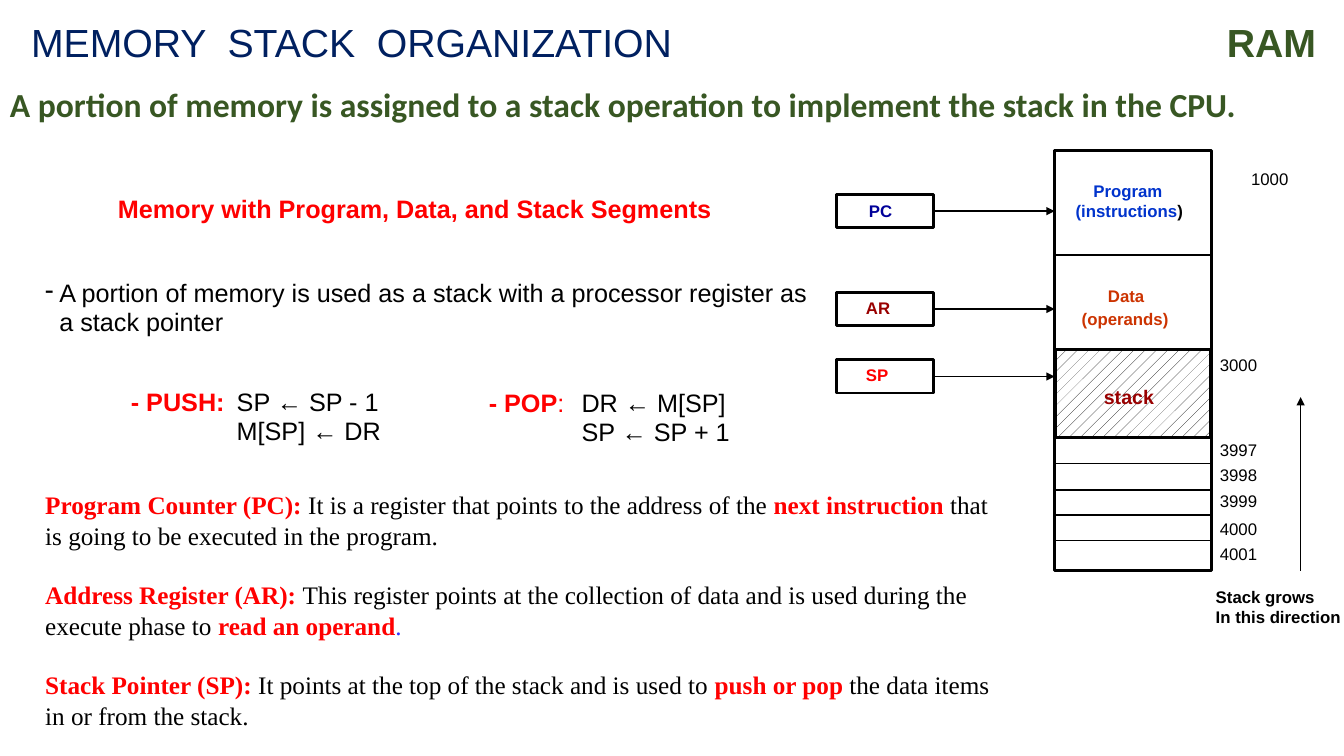
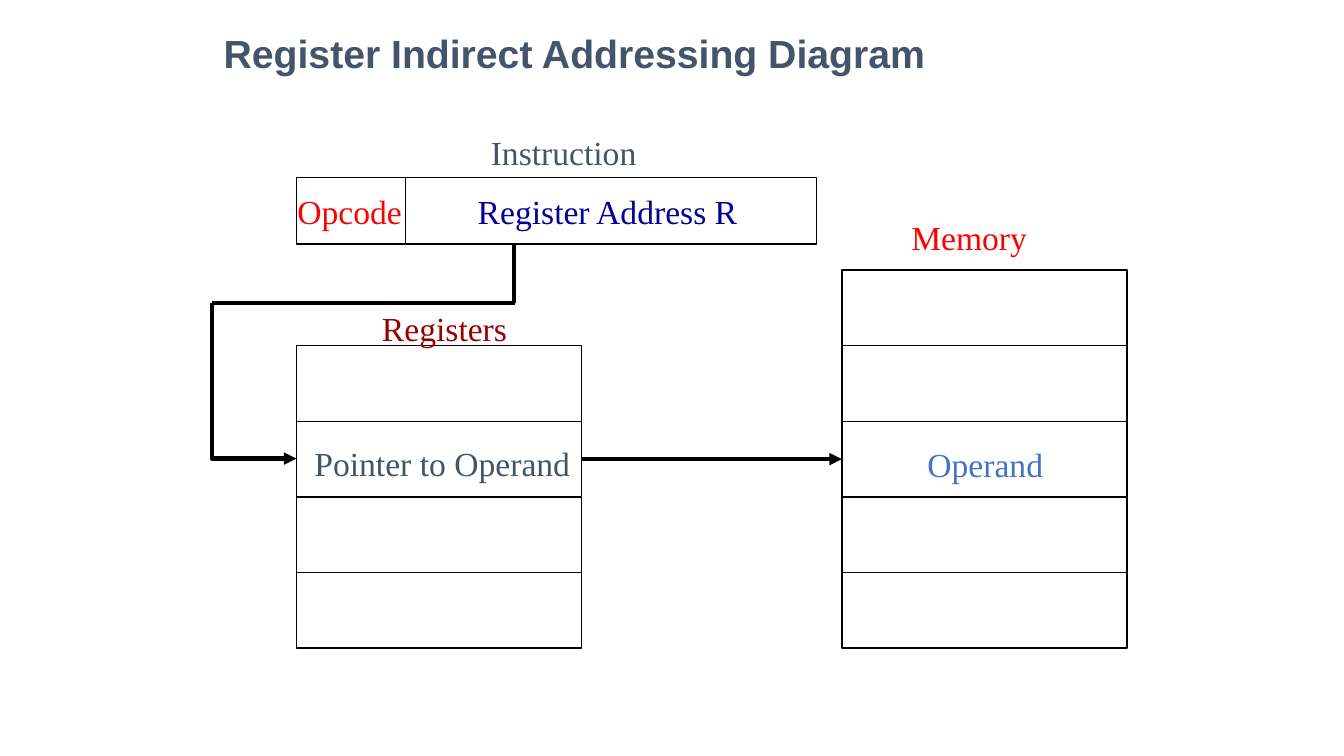
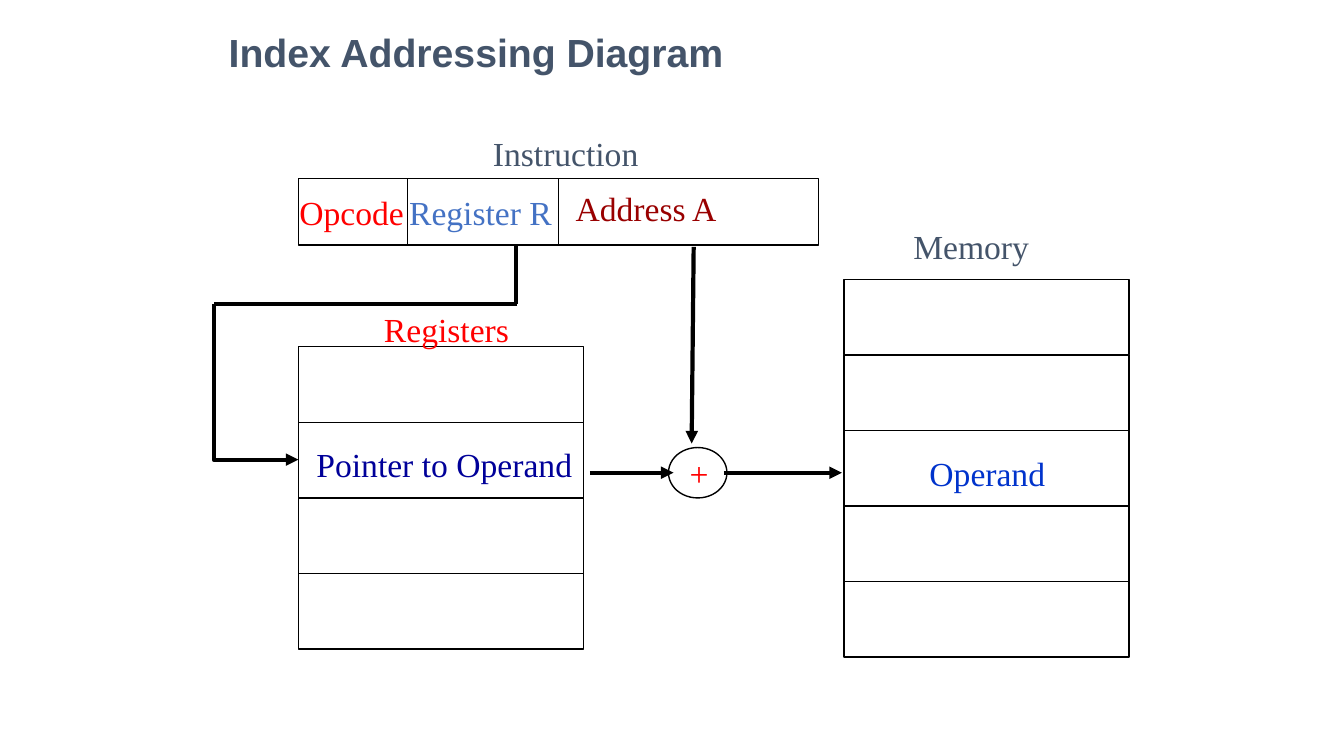
"""Three slides on the memory stack and on register-based addressing."""
from lxml.etree import SubElement
from pptx import Presentation
from pptx.dml.color import RGBColor
from pptx.enum.dml import MSO_PATTERN
from pptx.enum.shapes import MSO_CONNECTOR, MSO_SHAPE
from pptx.enum.text import MSO_ANCHOR, MSO_AUTO_SIZE, PP_ALIGN
from pptx.oxml.ns import qn
from pptx.util import Inches, Pt

BLACK, WHITE, RED, MAROON = "000000", "FFFFFF", "FF0000", "990000"
NAVY, BLUE, SLATE, SKY = "000099", "0033CC", "44546A", "4472C4"
TITLE_BLUE, GREEN, ORANGE, VIOLET = "002060", "385723", "CC3300", "3333FF"
SANS, SERIF = "Arial", "Times New Roman"

DEFINITIONS = [
    [("Program Counter (PC): ", RED, True),
     ("It is a register that points to the address of the ", BLACK, False),
     ("next instruction ", RED, True),
     ("that is going to be executed in the program.", BLACK, False)],
    [("Address Register (AR): ", RED, True),
     ("This register points at the collection of data and is used during the "
      "execute phase to ", BLACK, False),
     ("read an operand", RED, True), (".", VIOLET, False)],
    [("Stack Pointer (SP): ", RED, True),
     ("It points at the top of the stack and is used to ", BLACK, False),
     ("push or pop ", RED, True),
     ("the data items in or from the stack.", BLACK, False)],
]
STACK_NOTE = ("A portion of memory is used as a stack with a processor register as "
              "a stack pointer")
OPERATIONS = [
    ((1.2, 3.8, 3.3, 0.68), 1.05,
     [[("- PUSH:", RED, True), ("\tSP ← SP - 1", BLACK, False)],
      [("M[SP] ← DR", BLACK, False)]]),
    ((4.75, 3.81, 2.7, 0.68), 0.92,
     [[("- POP", RED, True), (":", RED, False), ("\tDR ← M[SP]", BLACK, False)],
      [("SP ← SP + 1", BLACK, False)]]),
]
REGISTERS = [("PC", NAVY, 1.93, 8.52, 1.94),
             ("AR", MAROON, 2.9, 8.49, 2.9),
             ("SP", RED, 3.57, 8.49, 3.57)]
ADDRESSES = [("1000", 12.31, 1.62), ("3000", 12, 3.47), ("3997", 12, 4.31),
             ("3998", 12, 4.56), ("3999", 12, 4.82), ("4000", 12, 5.1),
             ("4001", 12, 5.35)]
SEGMENT_LINES = [(2.53, 2), (4.01, 1), (4.35, 1), (4.6, 1), (4.86, 1), (5.11, 1), (5.36, 1)]
SEGMENT_LABELS = [("Data", ORANGE, 12, (10.89, 2.79, 0.69, 0.4)),
                  ("(operands)", ORANGE, 12, (10.63, 3.01, 1.31, 0.4)),
                  ("stack", MAROON, 14, (10.85, 3.77, 0.86, 0.44))]

INDIRECT = {
    "title": "Register Indirect Addressing Diagram", "title_at": (2.12, 0.26, 9, 0.55),
    "left": 2.94, "top": 1.76, "memory_top": 2.68, "dividers": [1.08],
    "fields": [("Register Address R", NAVY, 1.7, 0.08, 2.8)],
    "memory": RED, "operand": SKY, "registers": MAROON, "pointer": SLATE,
}
INDEXED = {
    "title": "Index Addressing Diagram", "title_at": (2.17, 0.29, 9, 0.51),
    "left": 2.96, "top": 1.77, "memory_top": 2.77, "dividers": [1.08, 2.58],
    "fields": [("Register R", SKY, 1, 0.08, 1.63), ("Address A", MAROON, 2.65, 0.05, 1.61)],
    "memory": SLATE, "operand": BLUE, "registers": RED, "pointer": NAVY,
}
CELL_WIDTH, CELL_HEIGHT = 2.83, 0.75


def color(value):
    """Turn a hex string into a colour."""
    return RGBColor.from_string(value)


def add_text(slide, at, paragraphs, size, font=SANS, wrap=True, spacing=None):
    """Add a text box whose paragraphs are lists of (text, colour, bold) runs."""
    shape = slide.shapes.add_textbox(*map(Inches, at))
    frame = shape.text_frame
    frame.word_wrap = wrap
    frame.auto_size = MSO_AUTO_SIZE.SHAPE_TO_FIT_TEXT
    for index, runs in enumerate(paragraphs):
        paragraph = frame.add_paragraph() if index else frame.paragraphs[0]
        if spacing:
            paragraph.line_spacing = spacing
        for text, run_color, bold in runs:
            run = paragraph.add_run()
            run.text = text
            run.font.size, run.font.name, run.font.bold = Pt(size), font, bold
            run.font.color.rgb = color(run_color)
    return frame


def add_label(slide, text, text_color, at, size=24, font=SERIF, bold=False):
    """Add one unwrapped line of text."""
    return add_text(slide, at, [[(text, text_color, bold)]], size, font, wrap=False)


def add_title(slide, text, text_color, at, anchor, bold):
    """Add a slide title."""
    frame = add_text(slide, at, [[(text, text_color, bold)]], 28)
    frame.auto_size = MSO_AUTO_SIZE.NONE
    frame.vertical_anchor = anchor
    return frame.paragraphs[0]


def set_tabs(paragraph, positions):
    """Give a paragraph left tab stops."""
    tabs = SubElement(paragraph._p.get_or_add_pPr(), qn("a:tabLst"))
    for position in positions:
        SubElement(tabs, qn("a:tab"), pos=str(Inches(position)), algn="l")


def style_line(shape, width, arrow=False):
    """Draw a black outline, with an arrowhead at its end if asked."""
    shape.line.color.rgb = color(BLACK)
    shape.line.width = Pt(width)
    if arrow:
        SubElement(shape.line._get_or_add_ln(), qn("a:tailEnd"), type="triangle")


def add_box(slide, at, width=1, preset=MSO_SHAPE.RECTANGLE):
    """Add an unfilled outlined shape."""
    shape = slide.shapes.add_shape(preset, *map(Inches, at))
    shape.shadow.inherit = False
    shape.fill.background()
    style_line(shape, width)
    return shape


def add_line(slide, start, end, width=1, arrow=False):
    """Add a straight line or arrow."""
    connector = slide.shapes.add_connector(
        MSO_CONNECTOR.STRAIGHT, *map(Inches, (*start, *end)))
    style_line(connector, width, arrow)
    SubElement(connector._element.spPr, qn("a:effectLst"))
    return connector


def add_cells(slide, left, top, count):
    """Stack equal cells and return them."""
    return [add_box(slide, (left, top + row * CELL_HEIGHT, CELL_WIDTH, CELL_HEIGHT))
            for row in range(count)]


def draw_memory_map(slide):
    """Draw the memory column with its registers and addresses."""
    add_box(slide, (10.46, 1.49, 1.56, 4.17), 2)
    for y, width in SEGMENT_LINES:
        add_line(slide, (10.47, y), (12.02, y), width)
    stack = add_box(slide, (10.47, 3.47, 1.54, 0.87), 2)
    stack.fill.patterned()
    stack.fill.pattern = MSO_PATTERN.PERCENT_10
    stack.fill.fore_color.rgb = color(BLACK)
    stack.fill.back_color.rgb = color(WHITE)
    for text, text_color, size, at in SEGMENT_LABELS:
        add_label(slide, text, text_color, at, size, SANS, True)
    program = add_text(slide, (10.57, 1.74, 1.28, 0.5),
                       [[("Program ", BLUE, True)],
                        [("(instructions", BLUE, True), (")", BLACK, True)]], 12, wrap=False)
    program.paragraphs[0].alignment = PP_ALIGN.CENTER
    for text, left, top in ADDRESSES:
        add_label(slide, text, BLACK, (left, top, 0.7, 0.4), 12, SANS)
    for name, name_color, top, label_left, label_top in REGISTERS:
        register = add_box(slide, (8.3, top, 0.96, 0.33), 2)
        middle = top + 0.165
        arrow = add_line(slide, (9.26, middle), (10.46, middle), 1, True)
        arrow.begin_connect(register, 3)
        add_label(slide, name, name_color, (label_left, label_top, 0.53, 0.4), 12, SANS, True)
    add_line(slide, (12.9, 5.66), (12.9, 3.94), 0.75, True)
    add_text(slide, (11.96, 5.77, 1.46, 0.5),
             [[("Stack grows", BLACK, True)], [("In this direction", BLACK, True)]],
             12, wrap=False)


def draw_stack_slide(slide):
    """Draw the memory stack organization slide."""
    title = add_title(slide, "MEMORY\tSTACK\tORGANIZATION", TITLE_BLUE,
                      (0.21, 0.13, 7.14, 0.63), MSO_ANCHOR.MIDDLE, False)
    set_tabs(title, [1.95, 3.43])
    title.line_spacing = 0.9
    corner = add_text(slide, (11.88, 0.13, 1.46, 0.57), [[("RAM", GREEN, True)]], 28)
    corner.paragraphs[0].alignment = PP_ALIGN.CENTER
    add_text(slide, (0, 0.78, 13.33, 0.5),
             [[("A portion of memory is assigned to a stack operation to implement "
                "the stack in the CPU.", GREEN, True)]], 24, "Calibri")
    add_text(slide, (1.07, 1.87, 6.48, 0.4),
             [[("Memory with Program, Data, and Stack Segments", RED, True)]], 18)

    note = add_text(slide, (0.35, 2.72, 7.8, 0.68), [[(STACK_NOTE, BLACK, False)]], 18,
                    spacing=0.96).paragraphs[0]
    properties = note._p.get_or_add_pPr()
    properties.set("marL", str(Inches(0.14)))
    properties.set("indent", str(Inches(-0.14)))
    SubElement(properties, qn("a:buChar"), char="-")

    for at, indent, paragraphs in OPERATIONS:
        first, second = add_text(slide, at, paragraphs, 18, spacing=0.96).paragraphs
        set_tabs(first, [indent])
        second._p.get_or_add_pPr().set("marL", str(Inches(indent)))

    definitions = add_text(slide, (0.35, 4.81, 9.73, 2.52), DEFINITIONS, 18, SERIF)
    for paragraph in definitions.paragraphs[1:]:
        paragraph.space_before = Pt(21)
    draw_memory_map(slide)


def draw_addressing_slide(slide, diagram):
    """Draw the instruction, registers and memory; return pointer and operand cells."""
    left, top, memory_top = diagram["left"], diagram["top"], diagram["memory_top"]
    memory_left, registers_top = left + 5.41, top + 1.67
    add_title(slide, diagram["title"], SLATE, diagram["title_at"], MSO_ANCHOR.BOTTOM, True)

    add_box(slide, (left, top, 5.16, 0.66))
    for offset in diagram["dividers"]:
        add_line(slide, (left + offset, top), (left + offset, top + 0.66))
    operand = add_cells(slide, memory_left, memory_top, 5)[2]
    pointer = add_cells(slide, left, registers_top, 4)[1]

    bend_x, bend_y, outer_x = left + 2.16, top + 1.25, left - 0.84
    add_line(slide, (bend_x, top + 0.67), (bend_x, bend_y), 3)
    add_line(slide, (bend_x + 0.01, bend_y), (outer_x, bend_y), 3)
    elbow_y = top + 2.79
    builder = slide.shapes.build_freeform(Inches(outer_x), Inches(bend_y))
    builder.add_line_segments([(Inches(outer_x), Inches(elbow_y)),
                               (Inches(left), Inches(elbow_y))], close=False)
    elbow = builder.convert_to_shape()
    elbow.shadow.inherit = False
    elbow.fill.background()
    style_line(elbow, 3, True)

    labels = [
        ("Instruction", SLATE, left + 1.83, top - 0.5, 1.66),
        ("Opcode", RED, left - 0.09, top + 0.08, 1.25),
        ("Memory", diagram["memory"], memory_left + 0.59, memory_top - 0.58, 1.36),
        ("Operand", diagram["operand"], memory_left + 0.75, memory_top + 1.67, 1.36),
        ("Registers", diagram["registers"], left + 0.75, bend_y, 1.45),
        ("Pointer to Operand", diagram["pointer"], left + 0.08, top + 2.58, 2.76),
    ]
    labels += [(text, text_color, left + x, top + y, width)
               for text, text_color, x, y, width in diagram["fields"]]
    for text, text_color, x, y, width in labels:
        add_label(slide, text, text_color, (x, y, width, 0.5))
    return pointer, operand


def draw_index_sum(slide):
    """Draw the adder that joins the register and the address."""
    add_box(slide, (6.63, 4.44, 0.58, 0.5), preset=MSO_SHAPE.OVAL)
    add_label(slide, "+", RED, (6.74, 4.44, 0.39, 0.5))
    for start, end in [((6.88, 2.45), (6.86, 4.4)),
                       ((7.18, 4.69), (8.35, 4.69)),
                       ((5.85, 4.69), (6.68, 4.69))]:
        add_line(slide, start, end, 3, True)


def main():
    """Build and save the presentation."""
    presentation = Presentation()
    presentation.slide_width, presentation.slide_height = Inches(13.33), Inches(7.5)
    blank = presentation.slide_layouts[6]
    stack_slide, indirect_slide, index_slide = (
        presentation.slides.add_slide(blank) for _ in range(3))

    draw_stack_slide(stack_slide)
    pointer, operand = draw_addressing_slide(indirect_slide, INDIRECT)
    arrow = add_line(indirect_slide, (5.77, 4.55), (8.35, 4.55), 3, True)
    arrow.begin_connect(pointer, 3)
    arrow.end_connect(operand, 1)
    draw_addressing_slide(index_slide, INDEXED)
    draw_index_sum(index_slide)
    presentation.save("out.pptx")


if __name__ == "__main__":
    main()
